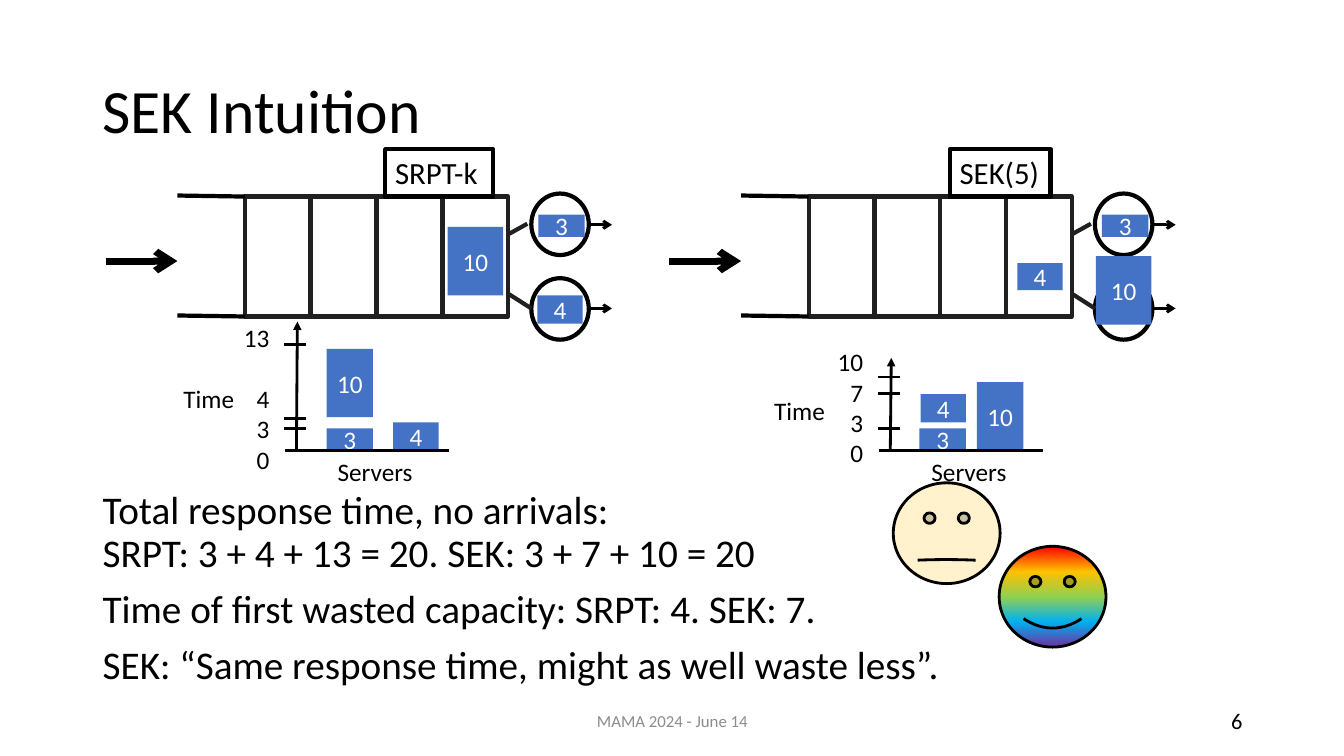
"""Build the SEK Intuition slide: two queues, two schedules and the conclusions."""
from pptx import Presentation
from pptx.dml.color import RGBColor
from pptx.enum.shapes import MSO_CONNECTOR, MSO_SHAPE
from pptx.enum.text import MSO_ANCHOR, PP_ALIGN
from pptx.oxml import parse_xml
from pptx.oxml.ns import nsdecls, qn
from pptx.util import Inches, Pt
from lxml.etree import SubElement

BLACK, WHITE, DARK, BLUE = "000000", "FFFFFF", "202020", "4472C4"
LEFT, CENTER, RIGHT = PP_ALIGN.LEFT, PP_ALIGN.CENTER, PP_ALIGN.RIGHT
TOP, MIDDLE = MSO_ANCHOR.TOP, MSO_ANCHOR.MIDDLE
RECT, OVAL, SMILEY = MSO_SHAPE.RECTANGLE, MSO_SHAPE.OVAL, MSO_SHAPE.SMILEY_FACE

prs = Presentation()
prs.slide_width, prs.slide_height = Inches(13.33), Inches(7.5)
s = prs.slides.add_slide(prs.slide_layouts[6])


def add_box(kind, x, y, w, h, text="", size=18, color=BLACK, align=LEFT,
            anchor=TOP, fill=None, line=None, weight=3):
    place = [Inches(v) for v in (x, y, w, h)]
    if kind is None:
        sp = s.shapes.add_textbox(*place)
    else:
        sp = s.shapes.add_shape(kind, *place)
        sp.shadow.inherit = False
        if fill:
            sp.fill.solid()
            sp.fill.fore_color.rgb = RGBColor.from_string(fill)
        else:
            sp.fill.background()
        if line:
            sp.line.color.rgb = RGBColor.from_string(line)
            sp.line.width = Pt(weight)
        else:
            sp.line.fill.background()
    if text:
        tf = sp.text_frame
        tf.word_wrap = True
        tf.vertical_anchor = anchor
        tf.text = text
        for p in tf.paragraphs:
            p.alignment = align
            for r in p.runs:
                r.font.name, r.font.size = "Calibri", Pt(size)
                r.font.color.rgb = RGBColor.from_string(color)
    return sp


def add_line(x1, y1, x2, y2, weight=2, color=BLACK, tail=None):
    c = s.shapes.add_connector(MSO_CONNECTOR.STRAIGHT, *[Inches(v) for v in (x1, y1, x2, y2)])
    c.line.color.rgb = RGBColor.from_string(color)
    c.line.width = Pt(weight)
    if tail:
        SubElement(c.line._get_or_add_ln(), qn("a:tailEnd"), type=tail)
    SubElement(c._element.spPr, qn("a:effectLst"))


title = add_box(None, 0.92, 0.4, 11.5, 1.45, "SEK Intuition", 44, anchor=MIDDLE)
title.text_frame.paragraphs[0].line_spacing = 0.9

body = add_box(None, 0.92, 4.82, 11.5, 2.1,
               "Total response time, no arrivals:\vSRPT: 3 + 4 + 13 = 20. SEK: 3 + 7 + 10 = 20\n"
               "Time of first wasted capacity: SRPT: 4. SEK: 7.\n"
               "SEK: “Same response time, might as well waste less”.", 28)
for p in body.text_frame.paragraphs:
    p.line_spacing, p.space_before = 0.9, Pt(10)

add_box(None, 4.42, 6.95, 4.5, 0.4, "MAMA 2024 - June 14", 12, "8C8C8C", CENTER, MIDDLE)
add_box(None, 9.42, 6.95, 3, 0.4, "6", 16, BLACK, RIGHT, MIDDLE)

queues = [
    (0, "SRPT-k", 3.82, 1.07,
     [("10", 4.44, 2.25, 0.55, 0.68), ("3", 5.34, 2.13, 0.46, 0.22), ("4", 5.33, 2.93, 0.45, 0.28)]),
    (5.59, "SEK(5)", 9.42, 1,
     [("3", 10.93, 2.13, 0.46, 0.22), ("4", 10.09, 2.61, 0.45, 0.27), ("10", 10.87, 2.54, 0.55, 0.68)]),
]
for dx, policy, policy_x, policy_w, jobs in queues:
    for i in range(4):
        add_box(RECT, dx + 2.43 + 0.653 * i, 1.95, 0.65, 1.19, fill=WHITE, line=DARK)
    for y in (1.94, 3.13):
        add_line(dx + 1.76, y, dx + 2.43, y + 0.01, 3)
    add_line(dx + 1.05, 2.59, dx + 1.76, 2.59, 5, tail="arrow")
    for server_y, exit_y, link in ((1.92, 2.23, (5.05, 2.32, 5.23, 2.22)),
                                   (2.76, 3.06, (5.05, 2.92, 5.27, 3.06))):
        add_box(OVAL, dx + 5.27, server_y, 0.57, 0.61, fill=WHITE, line=BLACK)
        add_line(dx + 5.84, exit_y, dx + 6.07, exit_y, tail="arrow")
        add_line(dx + link[0], link[1], dx + link[2], link[3], 3, DARK)
    add_box(RECT, policy_x, 1.48, policy_w, 0.47, policy, 22, line=BLACK)
    for job, x, y, w, h in jobs:
        add_box(RECT, x, y, w, h, job, 18, WHITE, CENTER, MIDDLE, BLUE)

happy = add_box(SMILEY, 9.91, 5.42, 1.06, 1, line=BLACK, weight=2)
rainbow = ["FF0000", "FFC000", "92D050", "00B0F0", "7030A0"]
stops = "".join(f'<a:gs pos="{25000 * i}"><a:srgbClr val="{c}"/></a:gs>' for i, c in enumerate(rainbow))
spPr = happy._element.spPr
spPr.replace(spPr.find(qn("a:noFill")), parse_xml(
    f'<a:gradFill {nsdecls("a")} rotWithShape="1"><a:gsLst>{stops}</a:gsLst>'
    '<a:lin ang="5400000" scaled="0"/></a:gradFill>'))
neutral = add_box(SMILEY, 8.86, 4.79, 1.06, 1, fill="FFF2CC", line=BLACK, weight=2)
neutral.adjustments[0] = -0.003

schedules = [
    (2.94, 3.19, 1.72, 3.75, 3.15, "13\n4\n3\n0", 22, (4.25, 4.15, 3.42),
     [("3", 3.24, 4.25, 0.46, 0.22), ("4", 3.9, 4.19, 0.45, 0.28), ("10", 3.24, 3.46, 0.46, 0.68)]),
    (8.83, 3.55, 7.58, 3.87, 3.39, "10\n7\n3\n0", 0, (4.25, 3.9, 3.74),
     [("3", 9.12, 4.25, 0.46, 0.22), ("4", 9.13, 3.91, 0.45, 0.28), ("10", 9.69, 3.79, 0.46, 0.68)]),
]
for axis_x, axis_top, time_x, time_y, scale_y, scale, gap, ticks, jobs in schedules:
    add_line(axis_x, 4.47, axis_x + 0.01, axis_top, tail="triangle")
    add_box(None, time_x, time_y, 0.79, 0.4, "Time")
    for job, x, y, w, h in jobs:
        add_box(RECT, x, y, w, h, job, 18, WHITE, CENTER, MIDDLE, BLUE)
    add_line(axis_x + 1.51, 4.47, axis_x - 0.11, 4.47)
    for y in ticks:
        add_line(axis_x + 0.1, y, axis_x - 0.12, y)
    labels = add_box(None, axis_x - 0.72, scale_y, 0.55, 1.4, scale, align=RIGHT)
    labels.text_frame.paragraphs[1].space_before = Pt(gap)
    add_box(None, axis_x - 0.13, 4.48, 1.82, 0.4, "Servers", align=CENTER)

prs.save("out.pptx")
